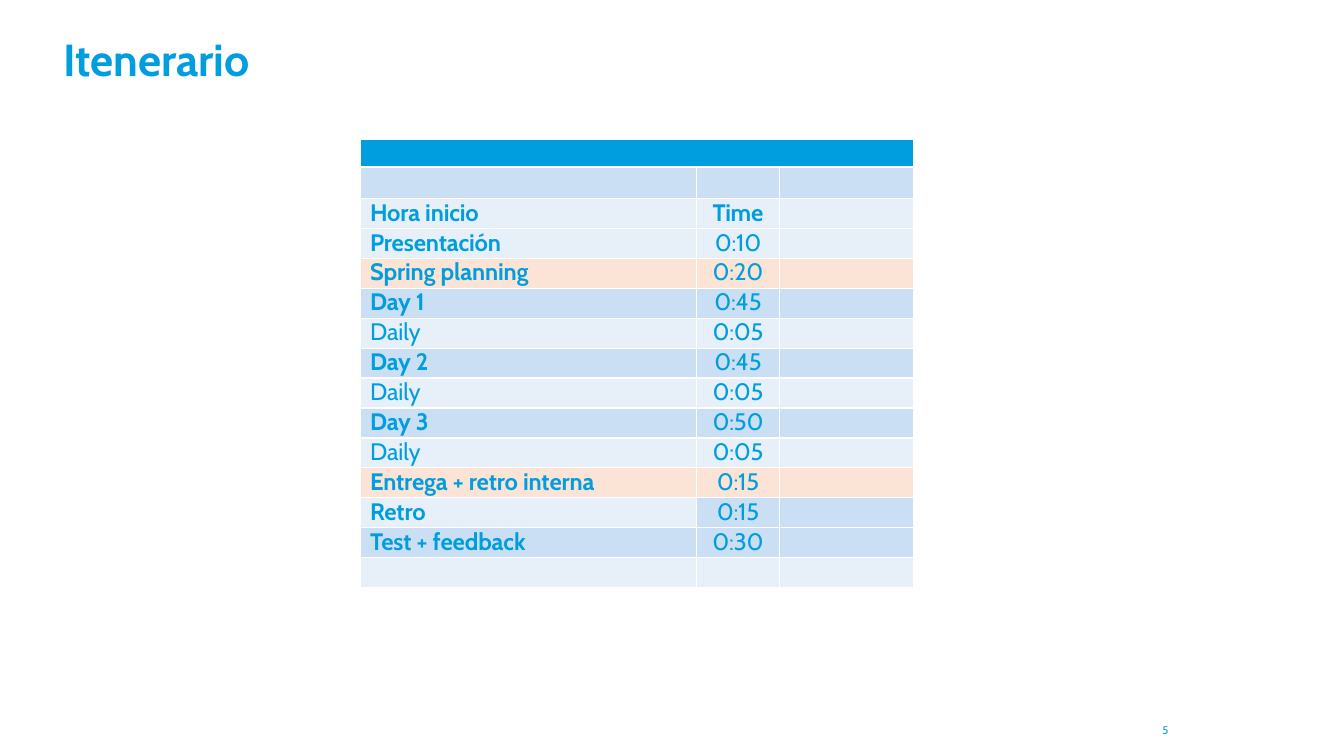
"""Builds the itinerary slide with its timetable."""
from lxml.etree import SubElement
from pptx import Presentation
from pptx.dml.color import RGBColor
from pptx.enum.text import PP_ALIGN
from pptx.oxml.ns import qn
from pptx.util import Inches, Pt

COLORS = {"blue": "009EDF", "mid": "CADFF3", "light": "E7EFF8",
          "peach": "FBE3D5", "white": "FFFFFF"}


def write(tf, text, size, bold=False, align=PP_ALIGN.LEFT, spacing=0, before=1, line=None):
    """Fills a text frame with one formatted paragraph."""
    tf.margin_left = tf.margin_right = tf.margin_bottom = 0
    tf.margin_top = Inches(0.01)
    p = tf.paragraphs[0]
    p.alignment, p.space_before = align, Pt(before)
    if line:
        p.line_spacing = Pt(line)
    r = p.add_run()
    r.text = text
    r.font.name, r.font.size, r.font.bold = "Cabin", Pt(size), bold
    r.font.color.rgb = RGBColor.from_string(COLORS["blue"])
    r.font._element.set("spc", str(spacing))


def style_cell(cell, color, top=1, bottom=1):
    """Gives a cell its fill and white borders."""
    tcPr = cell._tc.get_or_add_tcPr()
    for side, width in (("L", 1), ("R", 1), ("T", top), ("B", bottom)):
        ln = SubElement(tcPr, qn(f"a:ln{side}"), w=str(Pt(width)))
        SubElement(SubElement(ln, qn("a:solidFill")), qn("a:srgbClr"), val=COLORS["white"])
    cell.fill.solid()
    cell.fill.fore_color.rgb = RGBColor.from_string(COLORS[color])


prs = Presentation()
prs.slide_width, prs.slide_height = Inches(13.33), Inches(7.5)
s = prs.slides.add_slide(prs.slide_layouts[6])

for text, left, top, width, height, size, bold in (
        ("Itenerario", 0.63, 0.31, 2.3, 0.56, 32, True),
        ("5", 11.53, 7.17, 0.16, 0.16, 8, False)):
    tf = s.shapes.add_textbox(Inches(left), Inches(top), Inches(width), Inches(height)).text_frame
    tf.word_wrap = True
    write(tf, text, size, bold=bold, spacing=-10 if bold else 0)

rows = [
    ("", "", "blue", False, False),
    ("", "", "mid", False, False),
    ("Hora inicio", "Time", "light", True, True),
    ("Presentación", "0:10", "light", True, False),
    ("Spring planning", "0:20", "peach", True, False),
    ("Day 1", "0:45", "mid", True, False),
    ("Daily", "0:05", "light", False, False),
    ("Day 2", "0:45", "mid", True, False),
    ("Daily", "0:05", "light", False, False),
    ("Day 3", "0:50", "mid", True, False),
    ("Daily", "0:05", "light", False, False),
    ("Entrega + retro interna", "0:15", "peach", True, False),
    ("Retro", "0:15", "mid", True, False),
    ("Test + feedback", "0:30", "mid", True, False),
    ("", "", "light", False, False),
]
table = s.shapes.add_table(len(rows), 3, Inches(3.57), Inches(1.38), Inches(5.49), Inches(4.46)).table
table.first_row = table.horz_banding = False
for column, width in zip(table.columns, (3.34, 0.82, 1.33)):
    column.width = Inches(width)

for i, (activity, time, color, bold, time_bold) in enumerate(rows):
    table.rows[i].height = Inches({0: 0.28, 1: 0.31}.get(i, 0.297))
    for j, (text, strong) in enumerate(((activity, bold), (time, time_bold), ("", False))):
        cell = table.cell(i, j)
        fill = "light" if activity == "Retro" and j == 0 else color
        style_cell(cell, fill, top=1.5 if i == 1 else 1, bottom=1.5 if i == 0 else 1)
        if text:
            write(cell.text_frame, text, 17, bold=strong, spacing=-20 if j else -10,
                  align=PP_ALIGN.CENTER if j else PP_ALIGN.LEFT, before=0.7, line=19.7)
        else:
            SubElement(cell.text_frame.paragraphs[0]._p, qn("a:endParaRPr"), sz="800")
        cell.margin_left = Inches(0 if j else 0.1)
        cell.margin_right = cell.margin_bottom = 0
        cell.margin_top = Inches(0.01)
table.cell(0, 0).merge(table.cell(0, 2))

prs.save("out.pptx")
